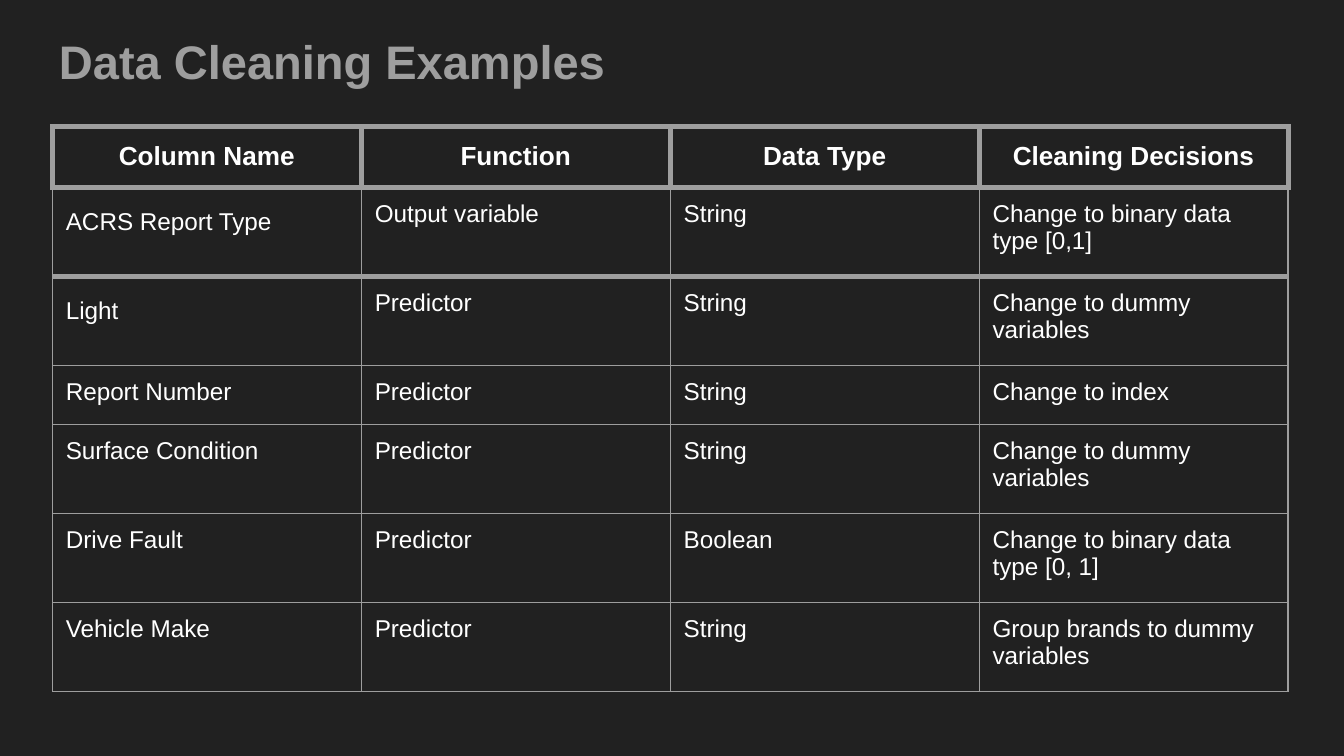
from dataclasses import dataclass
from lxml import etree
from pptx import Presentation
from pptx.dml.color import RGBColor
from pptx.enum import text
from pptx.oxml import ns
from pptx.util import Pt

HUES = {"back": "212121", "grey": "9E9E9E", "white": "FFFFFF"}
FONT = "Arial"
PAD = 7.2
WIDE = 165.5
THIN, THICK = 0.75, 3


@dataclass
class Row:
    high: float
    words: tuple[str, ...]
    top: float = THIN
    base: float = THIN
    head: bool = False
    loose: bool = False


ROWS = [
    Row(32.6, ("Column Name", "Function", "Data Type", "Cleaning Decisions"),
        THICK, THICK, head=True),
    Row(47.7, ("ACRS Report Type", "Output variable", "String",
               "Change to binary data type [0,1]"), THICK, THICK, loose=True),
    Row(47.7, ("Light", "Predictor", "String", "Change to dummy variables"),
        THICK, loose=True),
    Row(31.7, ("Report Number", "Predictor", "String", "Change to index")),
    Row(47.7, ("Surface Condition", "Predictor", "String",
               "Change to dummy variables")),
    Row(47.7, ("Drive Fault", "Predictor", "Boolean",
               "Change to binary data type [0, 1]")),
    Row(47.7, ("Vehicle Make", "Predictor", "String",
               "Group brands to dummy variables")),
]


def tint(name: str) -> RGBColor:
    return RGBColor.from_string(HUES[name])


def write(para, words: str, size: float, hue: str, bold: bool) -> None:
    run = para.add_run()
    run.text = words
    font = run.font
    font.name, font.size, font.bold = FONT, Pt(size), bold
    font.color.rgb = tint(hue)


def inset(box) -> None:
    box.margin_left = box.margin_right = Pt(PAD)
    box.margin_top = box.margin_bottom = Pt(PAD)


def edge(cell, row: Row) -> None:
    props = cell._tc.get_or_add_tcPr()
    side = THICK if row.head else THIN
    sizes = {"L": side, "R": side, "T": row.top, "B": row.base}
    for spot, (mark, size) in enumerate(sizes.items()):
        line = etree.Element(ns.qn(f"a:ln{mark}"), w=str(Pt(size)))
        fill = etree.SubElement(line, ns.qn("a:solidFill"))
        etree.SubElement(fill, ns.qn("a:srgbClr"), val=HUES["grey"])
        props.insert(spot, line)


def fill_cell(cell, words: str, row: Row, first: bool) -> None:
    inset(cell)
    cell.fill.background()
    edge(cell, row)
    para = cell.text_frame.paragraphs[0]
    if row.head:
        cell.vertical_anchor = text.MSO_ANCHOR.MIDDLE
        para.alignment = text.PP_ALIGN.CENTER
    if row.loose and first:
        para.line_spacing = 1.3
        para.space_after = Pt(12)
    write(para, words, 14 if row.head else 13, "white", row.head)


def add_title(slide) -> None:
    box = slide.shapes.add_textbox(Pt(24.5), Pt(9.5), Pt(671), Pt(45.5))
    frame = box.text_frame
    frame.word_wrap = True
    frame.vertical_anchor = text.MSO_ANCHOR.BOTTOM
    inset(frame)
    write(frame.paragraphs[0], "Data Cleaning Examples", 25.2, "grey", True)


def add_grid(slide) -> None:
    cols = len(ROWS[0].words)
    high = sum(row.high for row in ROWS)
    grid = slide.shapes.add_table(len(ROWS), cols, Pt(28.1), Pt(67.7),
                                  Pt(WIDE * cols), Pt(high)).table
    grid.first_row = grid.horz_banding = False
    for col in grid.columns:
        col.width = Pt(WIDE)
    for r, row in enumerate(ROWS):
        grid.rows[r].height = Pt(row.high)
        for c, words in enumerate(row.words):
            fill_cell(grid.cell(r, c), words, row, c == 0)


def main() -> None:
    deck = Presentation()
    deck.slide_width, deck.slide_height = Pt(720), Pt(405)
    slide = deck.slides.add_slide(deck.slide_layouts[6])
    fill = slide.background.fill
    fill.solid()
    fill.fore_color.rgb = tint("back")
    add_title(slide)
    add_grid(slide)
    deck.save("out.pptx")


if __name__ == "__main__":
    main()
